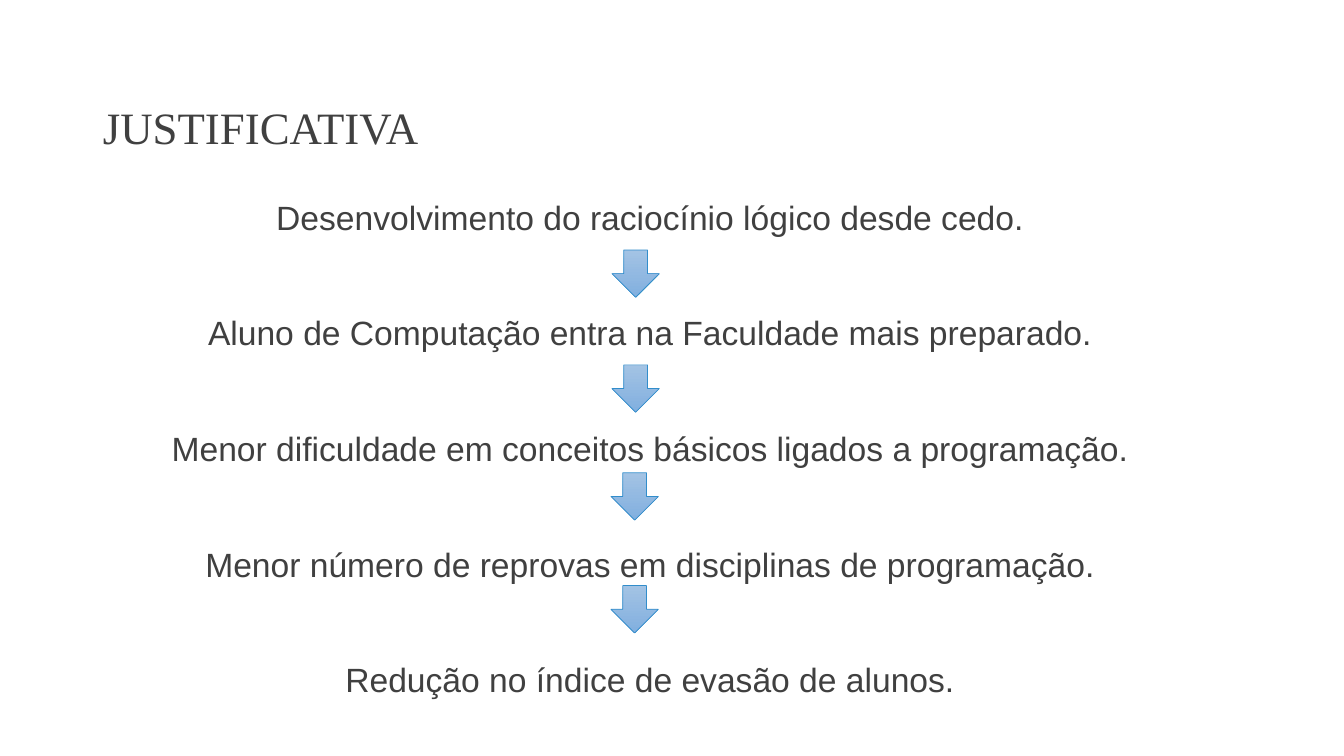
from pptx import Presentation
from pptx.dml.color import RGBColor
from pptx.enum import shapes, text
from pptx.util import Inches, Pt

COLORS = {"text": "404040", "arrow_top": "A3C3E4",
          "arrow_bottom": "81AFDF", "arrow_line": "318DCB"}

REASONS = [
    "Desenvolvimento do raciocínio lógico desde cedo.",
    "Aluno de Computação entra na Faculdade mais preparado.",
    "Menor dificuldade em conceitos básicos ligados a programação.",
    "Menor número de reprovas em disciplinas de programação.",
    "Redução no índice de evasão de alunos.",
]
# Arrow offsets from the left and top of the chain's box
ARROW_OFFSETS = [(4.79, 0.62), (4.79, 1.76), (4.78, 2.83), (4.78, 3.95)]
ARROW_SIZE = 0.47


def color(name):
    return RGBColor.from_string(COLORS[name])


def format_runs(paragraph, font_name, size):
    for run in paragraph.runs:
        run.font.name = font_name
        run.font.size = Pt(size)
        run.font.color.rgb = color("text")


def add_heading(slide, left, top, width, height):
    heading = slide.shapes.title
    heading.left, heading.top = Inches(left), Inches(top)
    heading.width, heading.height = Inches(width), Inches(height)
    frame = heading.text_frame
    frame.text = "JUSTIFICATIVA"
    frame.auto_size = text.MSO_AUTO_SIZE.NONE
    frame.vertical_anchor = text.MSO_ANCHOR.BOTTOM
    line = frame.paragraphs[0]
    line.alignment = text.PP_ALIGN.LEFT
    line.line_spacing = 0.9
    format_runs(line, "Times New Roman", 32)


def add_arrow(slide, left, top):
    arrow = slide.shapes.add_shape(
        shapes.MSO_SHAPE.DOWN_ARROW, Inches(left), Inches(top),
        Inches(ARROW_SIZE), Inches(ARROW_SIZE))
    arrow.shadow.inherit = False
    arrow.fill.gradient()
    arrow.fill.gradient_angle = 270
    for stop, name in zip(arrow.fill.gradient_stops, ("arrow_top", "arrow_bottom")):
        stop.color.rgb = color(name)
    arrow.line.color.rgb = color("arrow_line")
    arrow.line.width = Pt(0.5)


def add_reason_chain(slide, left, top, width, height):
    # Reasons, one paragraph each
    reasons = slide.shapes.add_textbox(
        Inches(left), Inches(top), Inches(width), Inches(height))
    frame = reasons.text_frame
    frame.word_wrap = True
    frame.margin_left = Inches(0.4)
    frame.margin_top = Inches(0.09)
    frame.text = "\n".join(REASONS)
    for index, reason in enumerate(frame.paragraphs):
        reason.alignment = text.PP_ALIGN.CENTER
        reason.space_before = Pt(53.8 if index else 0)
        format_runs(reason, "Arial", 24)

    # Arrows between the reasons
    for dx, dy in ARROW_OFFSETS:
        add_arrow(slide, left + dx, top + dy)


def main():
    deck = Presentation()
    deck.slide_width, deck.slide_height = Inches(13.33), Inches(7.5)
    slide = deck.slides.add_slide(deck.slide_layouts.get_by_name("Title Only"))
    add_heading(slide, 0.92, 0.4, 10.75, 1.18)
    add_reason_chain(slide, 1.28, 1.86, 10.03, 5.28)
    deck.save("out.pptx")


if __name__ == "__main__":
    main()
